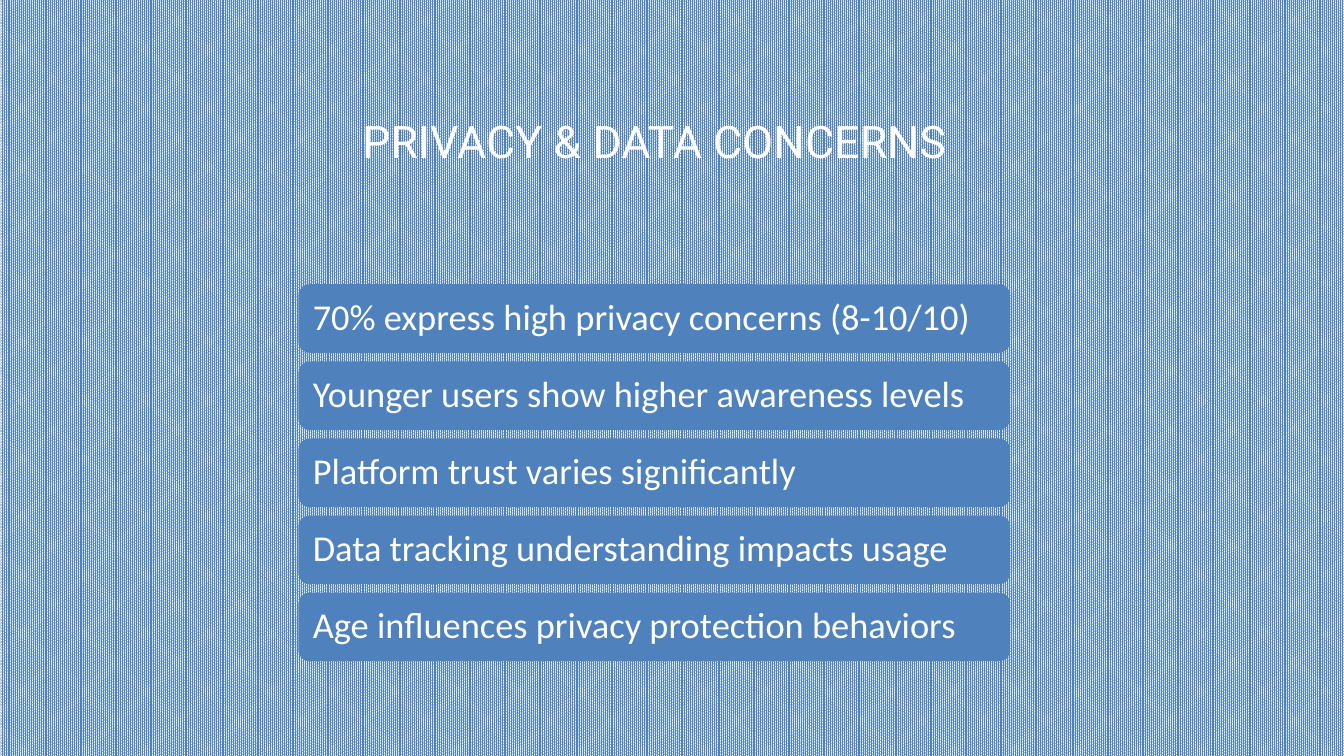
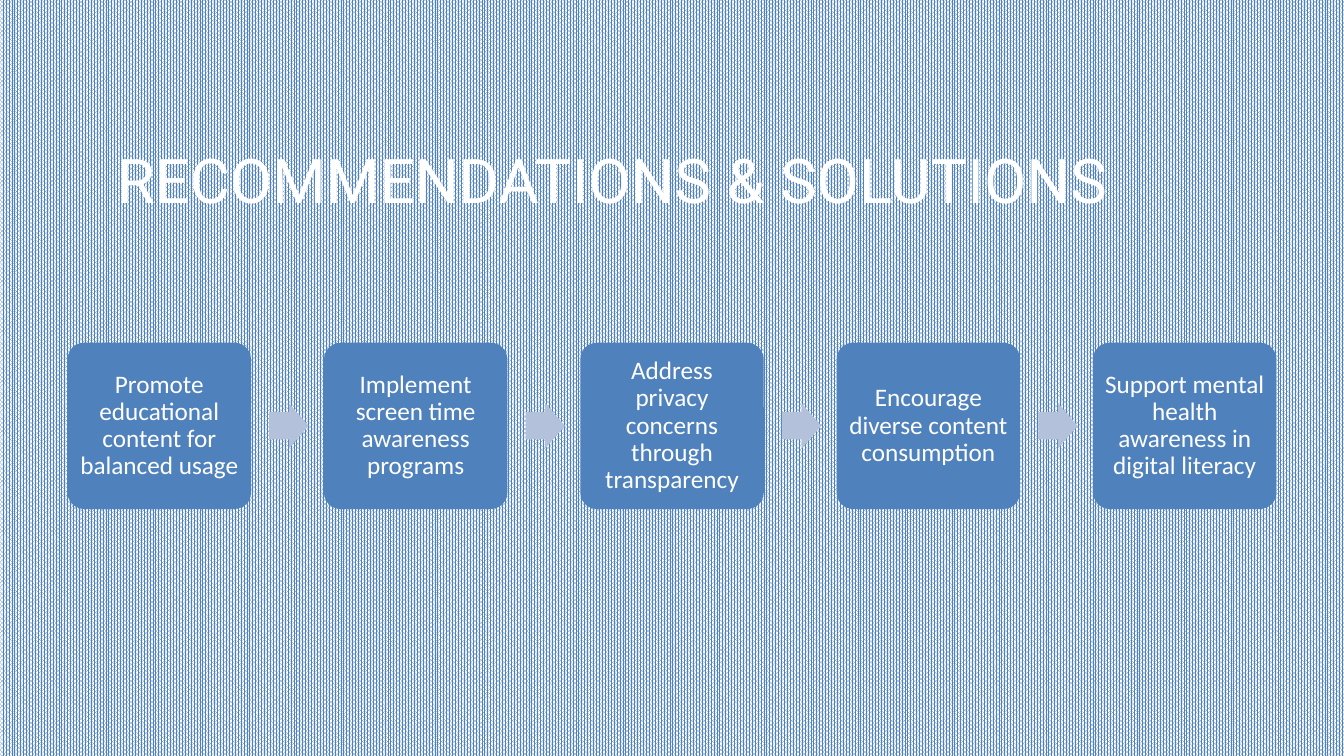
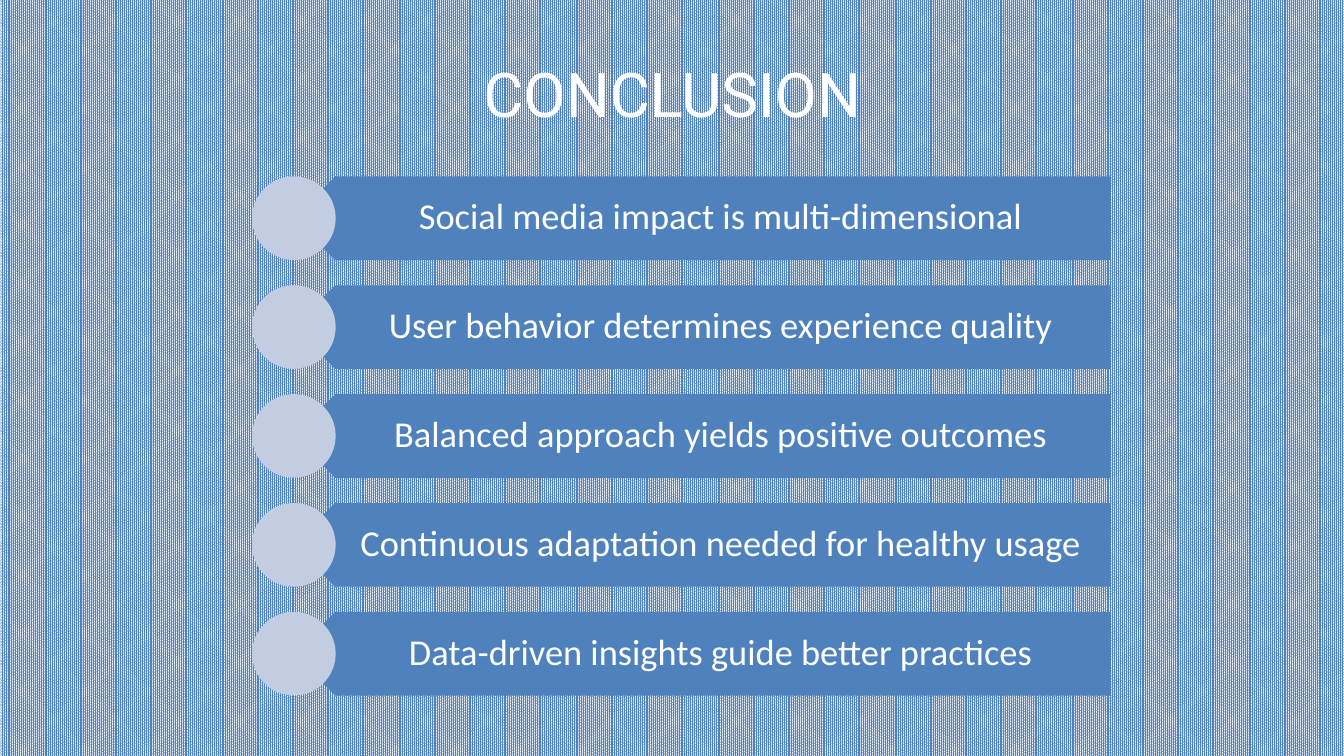
"""Build three patterned slides: privacy concerns, recommendations and conclusion."""
import dataclasses

import pptx
import pptx.dml.color
import pptx.enum.dml
import pptx.enum.shapes
import pptx.enum.text
import pptx.util

Inches = pptx.util.Inches
SHAPE = pptx.enum.shapes.MSO_SHAPE
ALIGN = pptx.enum.text.PP_ALIGN
PATTERN = pptx.enum.dml.MSO_PATTERN


@dataclasses.dataclass(frozen=True)
class Theme:
    """Colours, fonts and type sizes of the deck."""
    accent: str = "4F81BD"
    arrow: str = "B3C1DB"
    dot: str = "C2CDE1"
    white: str = "FFFFFF"
    title_font: str = "Roboto"
    body_font: str = "Calibri"
    title_size: int = 44
    small_title_size: int = 32
    bar_size: int = 26
    step_size: int = 18
    line_spacing: float = 0.9


THEME = Theme()

CONCERNS = [
    "70% express high privacy concerns (8-10/10)",
    "Younger users show higher awareness levels",
    "Platform trust varies significantly",
    "Data tracking understanding impacts usage",
    "Age influences privacy protection behaviors",
]
STEPS = [
    "Promote educational content for balanced usage",
    "Implement screen time awareness programs",
    "Address privacy concerns through transparency",
    "Encourage diverse content consumption",
    "Support mental health awareness in digital literacy",
]
CONCLUSIONS = [
    "Social media impact is multi-dimensional",
    "User behavior determines experience quality",
    "Balanced approach yields positive outcomes",
    "Continuous adaptation needed for healthy usage",
    "Data-driven insights guide better practices",
]


def rgb(value):
    """Return the colour for a hexadecimal string."""
    return pptx.dml.color.RGBColor.from_string(value)


def spread(first, last, count):
    """Return evenly spaced positions from first to last."""
    return [first + (last - first) * index / (count - 1) for index in range(count)]


def write(shape, text, size, font, align, insets=None):
    """Write one white, vertically centred paragraph into a shape."""
    frame = shape.text_frame
    frame.word_wrap = True
    frame.auto_size = pptx.enum.text.MSO_AUTO_SIZE.NONE
    frame.vertical_anchor = pptx.enum.text.MSO_ANCHOR.MIDDLE
    if insets:
        (frame.margin_left, frame.margin_top,
         frame.margin_right, frame.margin_bottom) = map(Inches, insets)
    para = frame.paragraphs[0]
    para.alignment = align
    span = para.add_run()
    span.text = text
    span.font.size = pptx.util.Pt(size)
    span.font.name = font
    span.font.color.rgb = rgb(THEME.white)
    return para


def write_body(shape, text, size, align, insets):
    """Write body text with the tight line spacing of the diagrams."""
    para = write(shape, text, size, THEME.body_font, align, insets)
    para.line_spacing = THEME.line_spacing


def add_page(deck, title, place, size, pattern):
    """Add a slide with a patterned background and a placed title."""
    page = deck.slides.add_slide(deck.slide_layouts.get_by_name("Title Only"))
    fill = page.background.fill
    fill.patterned()
    fill.pattern = pattern
    fill.fore_color.rgb = rgb(THEME.accent)
    fill.back_color.rgb = rgb(THEME.white)
    box = page.shapes.title
    box.left, box.top, box.width, box.height = map(Inches, place)
    write(box, title, size, THEME.title_font, ALIGN.CENTER)
    return page


def add_block(page, kind, place, colour, adjustments=()):
    """Add a flat preset shape without outline or shadow."""
    block = page.shapes.add_shape(kind, *map(Inches, place))
    block.shadow.inherit = False
    block.fill.solid()
    block.fill.fore_color.rgb = rgb(colour)
    block.line.fill.background()
    for index, value in enumerate(adjustments):
        block.adjustments[index] = value
    return block


def add_bars(page, texts):
    """Stack rounded bars with left-aligned text."""
    for top, text in zip(spread(2.82, 5.88, len(texts)), texts):
        bar = add_block(page, SHAPE.ROUNDED_RECTANGLE, (2.96, top, 7.06, 0.68), THEME.accent)
        write_body(bar, text, THEME.bar_size, ALIGN.LEFT, [0.11] * 4)


def add_process(page, texts):
    """Lay out rounded steps in a row, with an arrow between neighbours."""
    lefts = spread(0.67, 10.84, len(texts))
    for left, text in zip(lefts, texts):
        step = add_block(page, SHAPE.ROUNDED_RECTANGLE, (left, 3.4, 1.82, 1.65),
                         THEME.accent, [0.1])
        write_body(step, text, THEME.step_size, ALIGN.CENTER, [0.07] * 4)
    for left in lefts[:-1]:
        add_block(page, SHAPE.RIGHT_ARROW, (left + 2, 4, 0.39, 0.45), THEME.arrow, [0.6, 0.5])


def add_tags(page, texts):
    """Stack left-pointing tags, each with a dot over its tip."""
    height = 0.83
    for top, text in zip(spread(1.75, 6.07, len(texts)), texts):
        tag = add_block(page, SHAPE.PENTAGON, (2.91, top, 8.1, height), THEME.accent)
        tag.rotation = 180
        label = page.shapes.add_textbox(*map(Inches, (3.12, top, 7.89, height)))
        write_body(label, text, THEME.bar_size, ALIGN.CENTER, (0.37, 0.11, 0.2, 0.11))
        add_block(page, SHAPE.OVAL, (2.5, top, height, height), THEME.dot)


def main():
    """Build and save the deck."""
    deck = pptx.Presentation()
    deck.slide_width, deck.slide_height = Inches(13.33), Inches(7.5)
    page = add_page(deck, "PRIVACY & DATA CONCERNS", (2.96, 0.77, 7.06, 1.25),
                    THEME.small_title_size, PATTERN.PERCENT_90)
    add_bars(page, CONCERNS)
    page = add_page(deck, "RECOMMENDATIONS & SOLUTIONS", (0.87, 0.34, 10.41, 2.87),
                    THEME.title_size, PATTERN.PERCENT_80)
    add_process(page, STEPS)
    page = add_page(deck, "CONCLUSION", (0.67, 0.3, 12, 1.25),
                    THEME.title_size, PATTERN.PERCENT_90)
    add_tags(page, CONCLUSIONS)
    deck.save("out.pptx")


if __name__ == "__main__":
    main()
